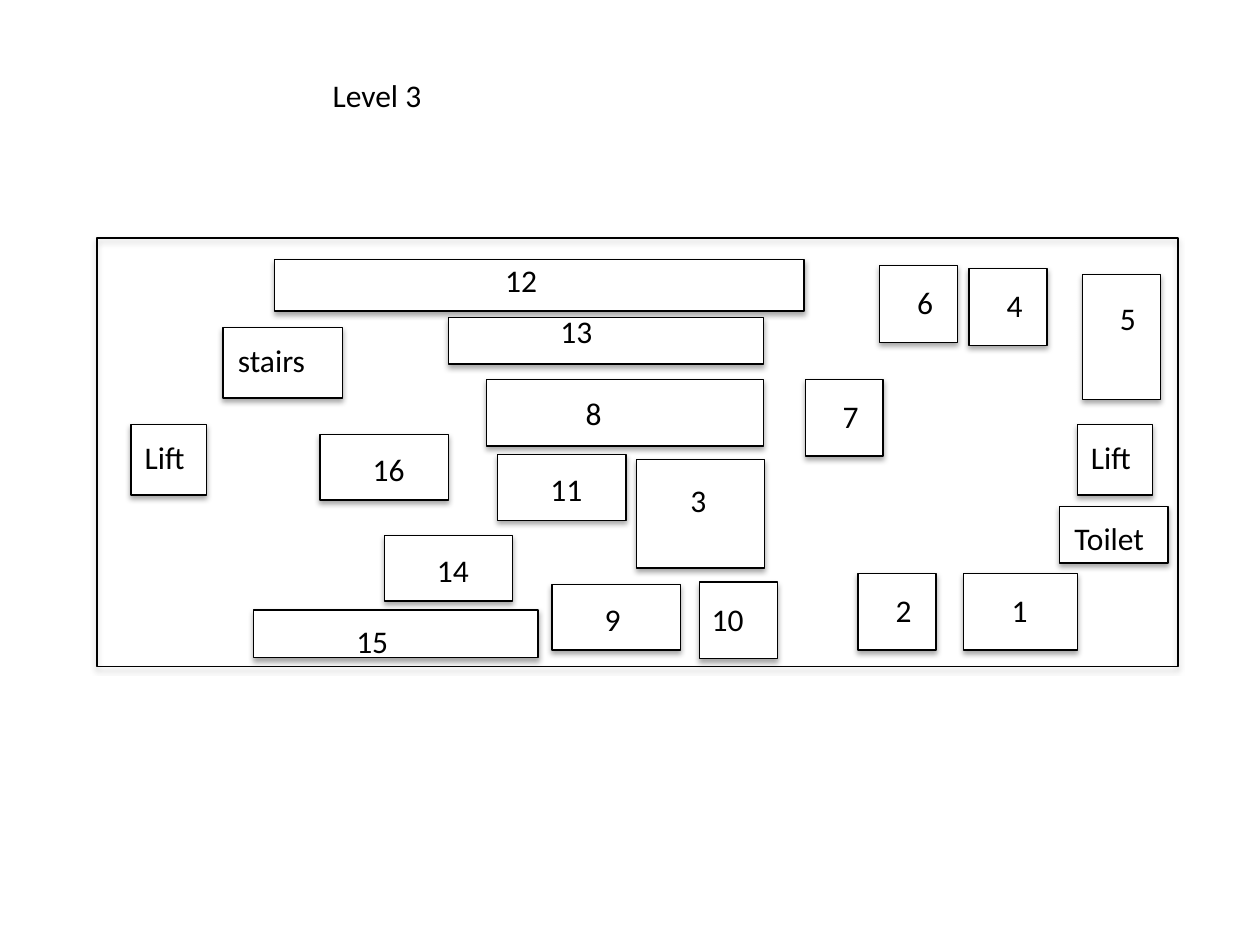
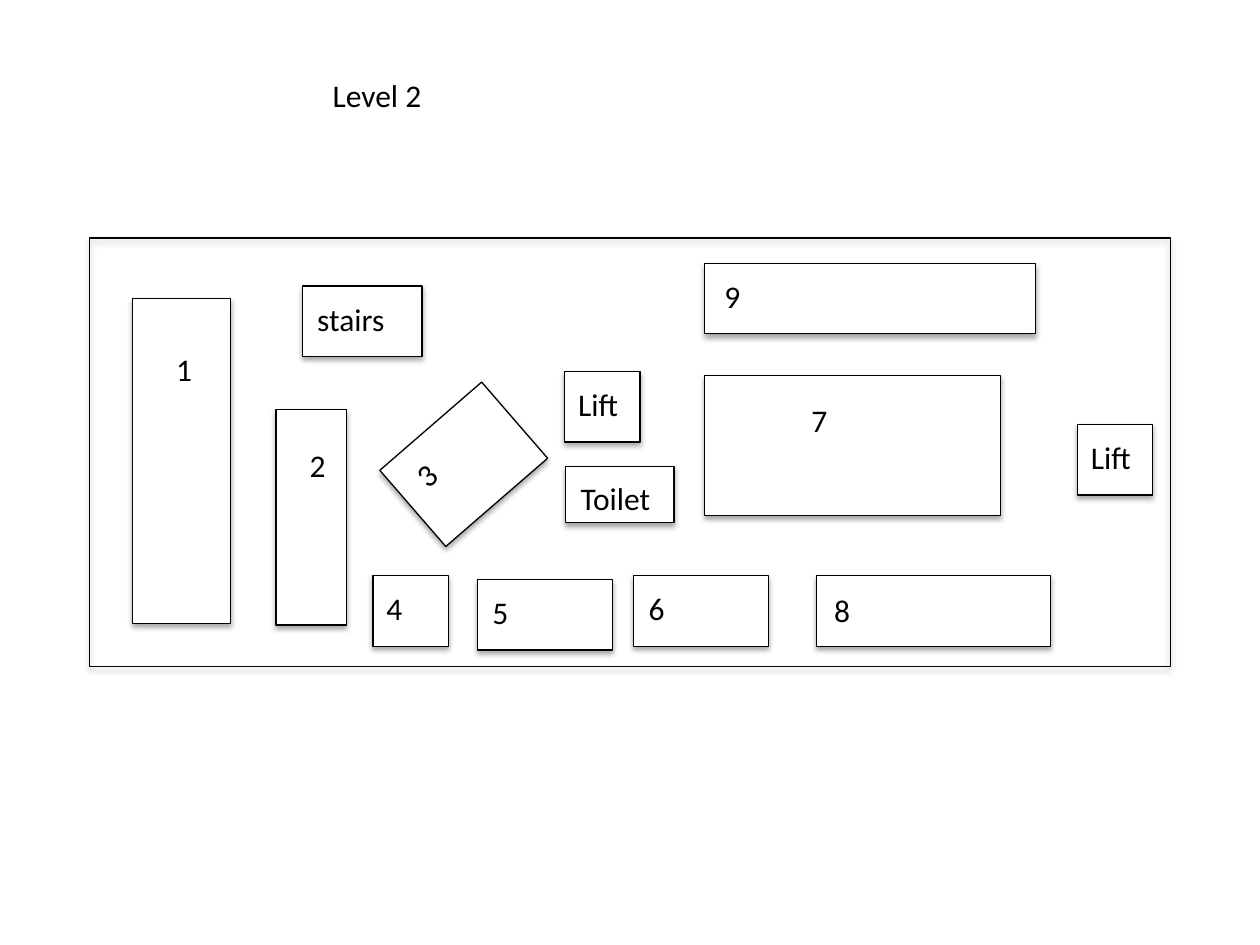
"""Build the floor plans of levels 3 and 2 as numbered rooms in an outlined floor."""
import dataclasses

import pptx
import pptx.dml.color
import pptx.enum.shapes
import pptx.enum.text
import pptx.util

Pt = pptx.util.Pt


@dataclasses.dataclass(frozen=True)
class Theme:
    ink: pptx.dml.color.RGBColor = pptx.dml.color.RGBColor(0, 0, 0)
    paper: pptx.dml.color.RGBColor = pptx.dml.color.RGBColor(255, 255, 255)
    font: str = "Calibri"
    text_size: float = 18
    line_width: float = 0.75
    title_area: tuple = (182.9, 39.6, 307.4, 28.8)
    floor_size: tuple = (617.8, 244.8)
    floor_top: float = 136.1


@dataclasses.dataclass(frozen=True)
class Room:
    width: float
    height: float
    label_left: float
    label_top: float
    label_width: float
    label_height: float = 28.8
    turn: float = 0
    label_turn: float = 0


def write_text(frame, text, *, font, size, color):
    frame.word_wrap = True
    frame.auto_size = pptx.enum.text.MSO_AUTO_SIZE.SHAPE_TO_FIT_TEXT
    frame.vertical_anchor = pptx.enum.text.MSO_ANCHOR.TOP
    para = frame.paragraphs[0]
    para.alignment = pptx.enum.text.PP_ALIGN.LEFT
    span = para.add_run()
    span.text = text
    span.font.name = font
    span.font.size = Pt(size)
    span.font.color.rgb = color


class FloorPlan:
    def __init__(self, theme):
        self.theme = theme
        self.deck = pptx.Presentation()
        self.deck.slide_width = Pt(720)
        self.deck.slide_height = Pt(540)
        self.page = None

    def text(self, frame, text):
        theme = self.theme
        write_text(frame, text, font=theme.font, size=theme.text_size, color=theme.ink)

    def start(self, title):
        self.page = self.deck.slides.add_slide(self.deck.slide_layouts[5])
        box = self.page.shapes.title
        box.left, box.top, box.width, box.height = map(Pt, self.theme.title_area)
        self.text(box.text_frame, title)

    def rectangle(self, shapes, left, top, width, height):
        box = shapes.add_shape(
            pptx.enum.shapes.MSO_SHAPE.RECTANGLE, Pt(left), Pt(top), Pt(width), Pt(height)
        )
        box.line.color.rgb = self.theme.ink
        box.line.width = Pt(self.theme.line_width)
        return box

    def floor(self, left):
        theme = self.theme
        box = self.rectangle(self.page.shapes, left, theme.floor_top, *theme.floor_size)
        box.fill.background()

    def room(self, name, left, top, room):
        group = self.page.shapes.add_group_shape()
        box = self.rectangle(group.shapes, left, top, room.width, room.height)
        box.fill.solid()
        box.fill.fore_color.rgb = self.theme.paper
        box.rotation = room.turn
        label = group.shapes.add_textbox(
            Pt(left + room.label_left), Pt(top + room.label_top),
            Pt(room.label_width), Pt(room.label_height),
        )
        label.rotation = room.label_turn
        self.text(label.text_frame, name)

    def level(self, title, floor_left, rooms):
        self.start(title)
        self.floor(floor_left)
        for room in rooms:
            self.room(*room)


LIFT = Room(43.2, 40.3, 0.7, 4.3, 50.4)
TOILET = Room(61.9, 32.4, 1.4, 3.6, 60.5, 23)
STAIRS = Room(68.4, 40.3, 1.4, 4.3, 79.9, 51.1)
SQUARE = Room(44.6, 43.9, 14.4, 6.5, 21.6)
MEDIUM = Room(73.4, 37.4, 23, 5.4, 35.3)
WIDE = Room(77, 40.3, 1.4, 4.3, 90.7)

LEVEL_3 = [
    ("Lift", 615.6, 242.6, LIFT),
    ("Lift", 74.9, 242.6, LIFT),
    ("Toilet", 605.5, 289.4, TOILET),
    ("1", 550.8, 327.6, Room(64.8, 43.9, 20.2, 6.5, 31)),
    ("2", 490.3, 327.6, SQUARE),
    ("3", 363.6, 262.8, Room(73.4, 61.9, 23.8, 8.6, 35.3, 41)),
    ("4", 553.7, 153.4, SQUARE),
    ("5", 618.5, 157, Room(44.6, 71.3, 14.4, 10.1, 21.6)),
    ("6", 502.6, 151.9, SQUARE),
    ("7", 460.1, 216.7, SQUARE),
    ("8", 277.9, 216.7, Room(158.4, 38.2, 49.7, 5, 75.6)),
    ("9", 315.4, 334.1, MEDIUM),
    ("10", 399.6, 332.6, Room(44.6, 43.9, 0, 6.5, 44.6)),
    ("11", 284.4, 259.9, MEDIUM),
    ("12", 157, 148.3, Room(302.4, 29.5, 124.6, -2.9, 46.8, 34.6)),
    ("13", 256.3, 181.4, Room(180, 26.6, 56.9, -6.5, 86.4, 41)),
    ("14", 219.6, 306, MEDIUM),
    ("15", 144.7, 348.5, Room(162.7, 27.4, 51.8, 3.6, 77.8)),
    ("16", 182.9, 248.4, MEDIUM),
    ("stairs", 127.4, 187.2, STAIRS),
]

LEVEL_2 = [
    ("Lift", 615.6, 242.6, LIFT),
    ("Lift", 322.6, 212.4, LIFT),
    ("Toilet", 323.3, 266.4, TOILET),
    ("1", 75.6, 170.6, Room(56.2, 185.8, 18, 25.9, 26.6, 123.1)),
    ("2", 157.7, 234, Room(40.3, 123.1, 12.2, 17.3, 19.4, 33.8)),
    ("3", 236.2, 226.8, Room(57.6, 77, 0.7, 31, 15.8, 41.8, 229.1, 319.1)),
    ("stairs", 172.8, 163.4, STAIRS),
    ("4", 213.1, 329, LIFT),
    ("5", 272.9, 331.2, WIDE),
    ("6", 362.2, 329, WIDE),
    ("7", 402.5, 214.6, Room(169.2, 79.9, 54, 10.8, 80.6)),
    ("8", 466.6, 329, Room(133.9, 40.3, 2.9, 5, 157)),
    ("9", 402.5, 150.5, Room(189.4, 40.3, 4.3, 4.3, 222.5)),
]

plan = FloorPlan(Theme())
plan.level("Level 3", 55.4, LEVEL_3)
plan.level("Level 2", 51.1, LEVEL_2)
plan.deck.save("out.pptx")
